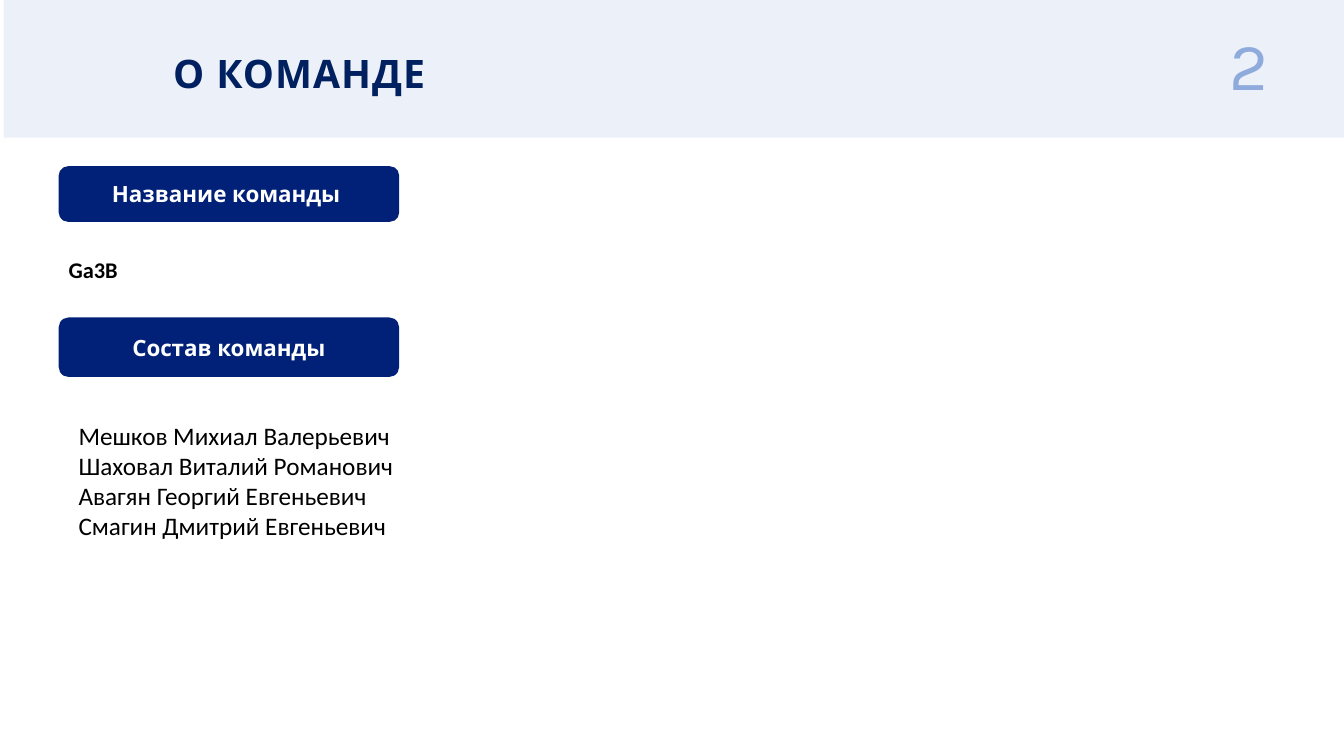
import pptx
import pptx.util
import pptx.dml.color
import pptx.enum.shapes
import pptx.enum.text
import lxml.etree

Cm = pptx.util.Cm
Align = pptx.enum.text.PP_ALIGN
Anchor = pptx.enum.text.MSO_ANCHOR
Shape = pptx.enum.shapes.MSO_SHAPE


def color(code):
    return pptx.dml.color.RGBColor.from_string(code)


def write(shape, lines, font, size, code, bold=False, align=Align.LEFT,
          anchor=Anchor.TOP, space=1.0):
    frame = shape.text_frame
    frame.word_wrap = True
    frame.auto_size = pptx.enum.text.MSO_AUTO_SIZE.NONE
    frame.vertical_anchor = anchor
    frame.text = "\n".join(lines)
    for para in frame.paragraphs:
        para.alignment = align
        para.line_spacing = space
        para.font.name = font
        para.font.size = pptx.util.Pt(size)
        para.font.bold = bold
        para.font.color.rgb = color(code)


def place(shape, left, top, width, height):
    shape.left, shape.top = Cm(left), Cm(top)
    shape.width, shape.height = Cm(width), Cm(height)


def panel(slide, kind, box, code):
    shape = slide.shapes.add_shape(kind, *map(Cm, box))
    shape.shadow.inherit = False
    shape.fill.solid()
    shape.fill.fore_color.rgb = color(code)
    shape.line.fill.background()
    return shape


def label(slide, box, text):
    shape = panel(slide, Shape.ROUNDED_RECTANGLE, box, "002177")
    write(shape, [text], "Karla", 16, "FFFFFF", True, Align.CENTER, Anchor.MIDDLE)


def header(slide, box, text, number):
    left, top, width, height = box
    band = panel(slide, Shape.RECTANGLE, box, "DAE3F3")
    fill = band.fill._xPr.find(".//" + pptx.oxml.ns.qn("a:srgbClr"))
    lxml.etree.SubElement(fill, pptx.oxml.ns.qn("a:alpha"), val="50000")
    title = slide.shapes.title
    title._element.addprevious(band._element)
    place(title, left + 4.02, top + 1.12, 22.5, 1.45)
    write(title, [text], "Karla", 28, "002060", True, anchor=Anchor.MIDDLE)
    title.text_frame.paragraphs[0].runs[0]._r.get_or_add_rPr().set("spc", "80")
    page = slide.shapes.add_textbox(
        Cm(left + width - 4.08), Cm(top + 0.94), Cm(3.35), Cm(1.8))
    write(page, [number], "Karla", 48, "8FAADC", align=Align.CENTER, space=0.75)


def team(slide, box, name, people):
    left, top, width, height = box
    label(slide, (left, top, 8.58, 1.4), "Название команды ")
    text = slide.shapes.add_textbox(Cm(left), Cm(top + 2.31), Cm(width), Cm(0.79))
    write(text, [name], "Calibri", 16, "000000", True, space=0.75)
    label(slide, (left, top + 3.81, 8.58, 1.5), "Состав команды")
    text = slide.shapes.add_textbox(
        Cm(left + 0.25), Cm(top + 6.27), Cm(width - 1.42), Cm(height - 6.27))
    write(text, people, "Calibri", 18, "000000")


def main():
    deck = pptx.Presentation()
    deck.slide_width, deck.slide_height = Cm(33.87), Cm(19.05)
    slide = deck.slides.add_slide(deck.slide_layouts[5])
    header(slide, (0.09, 0, 33.78, 3.47), "О КОМАНДЕ", "2")
    team(slide, (1.48, 4.19, 17.63, 9.6), "Ga3B", [
        "Мешков Михиал Валерьевич",
        "Шаховал Виталий Романович",
        "Авагян Георгий Евгеньевич",
        "Смагин Дмитрий Евгеньевич",
    ])
    deck.save("out.pptx")


if __name__ == "__main__":
    main()
